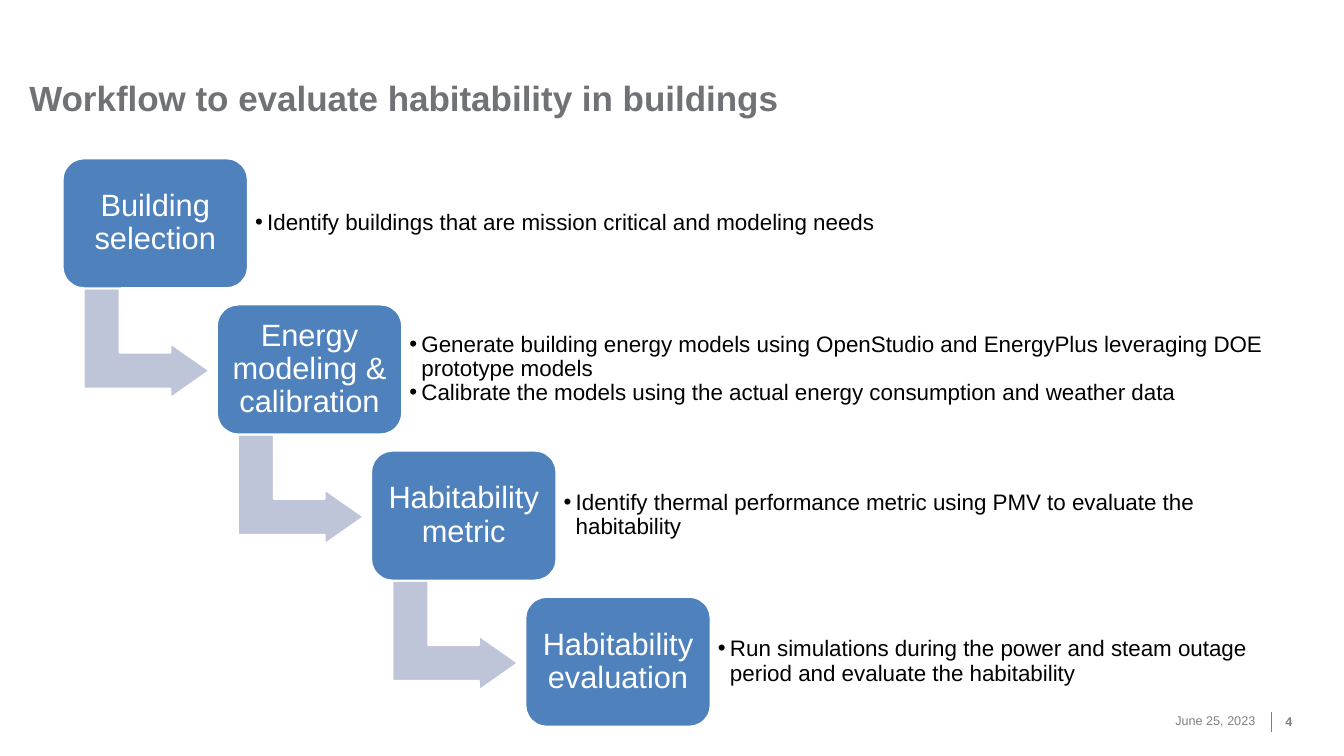
from lxml import etree
from pptx import Presentation
from pptx.dml.color import RGBColor
from pptx.enum.shapes import MSO_CONNECTOR, MSO_SHAPE
from pptx.enum.text import MSO_ANCHOR, PP_ALIGN
from pptx.oxml.ns import qn
from pptx.util import Inches, Pt

STRAIGHT = MSO_CONNECTOR.STRAIGHT
ROUNDED, BENT_ARROW = MSO_SHAPE.ROUNDED_RECTANGLE, MSO_SHAPE.BENT_UP_ARROW
MIDDLE, BOTTOM = MSO_ANCHOR.MIDDLE, MSO_ANCHOR.BOTTOM
LEFT, CENTER, RIGHT = PP_ALIGN.LEFT, PP_ALIGN.CENTER, PP_ALIGN.RIGHT

BLUE, PALE, WHITE, BLACK = "4F81BD", "BFC5D9", "FFFFFF", "000000"
GRAY, TITLE_GRAY = "808080", "707276"


def color(value):
    return RGBColor.from_string(value)


def write(shape, text, size, ink, align=LEFT, bold=False, anchor=MIDDLE, inset=0, spacing=None):
    frame = shape.text_frame
    frame.text = text
    frame.word_wrap = True
    frame.vertical_anchor = anchor
    frame.margin_left = frame.margin_right = Inches(inset)
    frame.margin_top = frame.margin_bottom = Inches(inset)
    for paragraph in frame.paragraphs:
        paragraph.alignment = align
        paragraph.line_spacing = spacing
        for run in paragraph.runs:
            run.font.name = "Arial"
            run.font.size = Pt(size)
            run.font.bold = bold
            run.font.color.rgb = color(ink)


steps = [
    ("Building selection", ["Identify buildings that are mission critical and modeling needs"]),
    ("Energy modeling & calibration", [
        "Generate building energy models using OpenStudio and EnergyPlus leveraging DOE prototype models",
        "Calibrate the models using the actual energy consumption and weather data",
    ]),
    ("Habitability metric", ["Identify thermal performance metric using PMV to evaluate the habitability"]),
    ("Habitability evaluation", [
        "Run simulations during the power and steam outage period and evaluate the habitability",
    ]),
]
FIRST_LEFT, FIRST_TOP = 0.62, 1.57
STEP_RIGHT, STEP_DOWN = 1.53, 1.45
BOX_WIDTH, BOX_HEIGHT = 1.84, 1.29
DETAIL_RIGHT, DETAIL_HEIGHT = 12.86, 1.04

prs = Presentation()
prs.slide_width, prs.slide_height = Inches(13.33), Inches(7.5)
slide = prs.slides.add_slide(prs.slide_layouts[5])
shapes = slide.shapes

title = shapes.title
title.left, title.top = Inches(0.29), Inches(0.3)
title.width, title.height = Inches(9.73), Inches(0.88)
write(title, "Workflow to evaluate habitability in buildings", 25, TITLE_GRAY, bold=True, anchor=BOTTOM)

for index, (step, details) in enumerate(steps):
    left = FIRST_LEFT + index * STEP_RIGHT
    top = FIRST_TOP + index * STEP_DOWN
    parts = []
    if index < len(steps) - 1:
        arrow = shapes.add_shape(
            BENT_ARROW, Inches(left + 0.29), Inches(top + 1.21), Inches(1.09), Inches(1.25))
        arrow.rotation = 90
        for position, share in enumerate((0.328, 0.25, 0.358)):
            arrow.adjustments[position] = share
        parts.append((arrow, PALE))

    box = shapes.add_shape(ROUNDED, Inches(left), Inches(top), Inches(BOX_WIDTH), Inches(BOX_HEIGHT))
    box.adjustments[0] = 0.167
    write(box, step, 22, WHITE, CENTER, inset=0.09, spacing=0.9)
    parts.append((box, BLUE))

    for part, fill in parts:
        part.shadow.inherit = False
        part.fill.solid()
        part.fill.fore_color.rgb = color(fill)
        part.line.color.rgb = color(WHITE)
        part.line.width = Pt(1.5)

    detail_left = left + BOX_WIDTH
    detail = shapes.add_textbox(
        Inches(detail_left), Inches(top + (BOX_HEIGHT - DETAIL_HEIGHT) / 2),
        Inches(DETAIL_RIGHT - detail_left), Inches(DETAIL_HEIGHT))
    write(detail, "\n".join(details), 16, BLACK, inset=0.07, spacing=0.9)
    for paragraph in detail.text_frame.paragraphs:
        properties = paragraph._p.get_or_add_pPr()
        properties.set("marL", str(Inches(0.12)))
        properties.set("indent", str(-Inches(0.12)))
        etree.SubElement(properties, qn("a:buFont")).set("typeface", "Arial")
        etree.SubElement(properties, qn("a:buChar")).set("char", "•")

date = shapes.add_textbox(Inches(10.7), Inches(6.95), Inches(1.75), Inches(0.4))
write(date, "June 25, 2023", 9, GRAY, RIGHT)

divider = shapes.add_connector(STRAIGHT, Inches(12.61), Inches(7.06), Inches(12.61), Inches(7.26))
divider.line.color.rgb = color(GRAY)
divider.line.width = Pt(1)
etree.SubElement(divider._element.spPr, qn("a:effectLst"))

page_number = shapes.add_textbox(Inches(12.75), Inches(6.96), Inches(0.33), Inches(0.4))
write(page_number, "4", 9, GRAY, bold=True)

prs.save("out.pptx")
